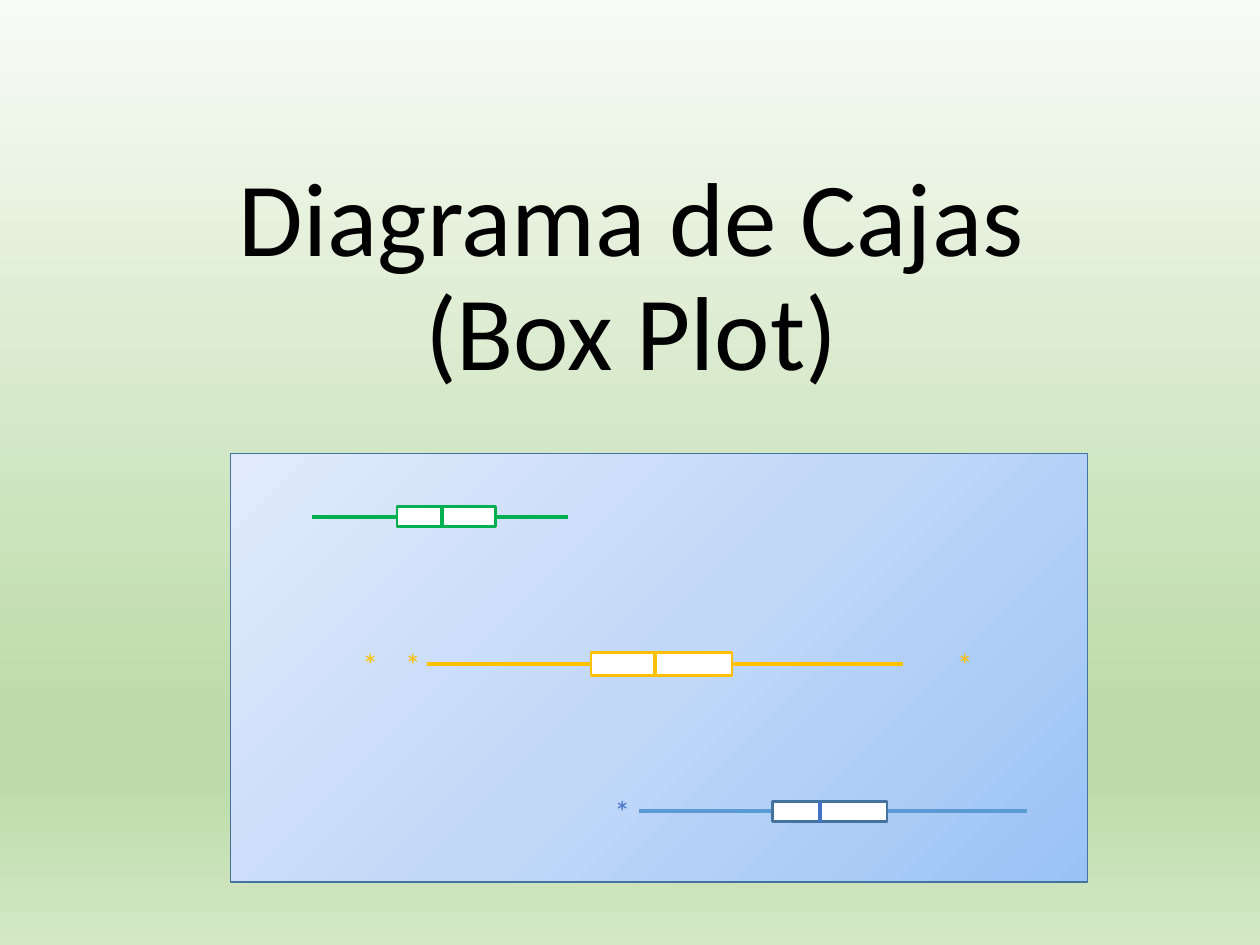
"""Build a title slide with three horizontal box plots on a gradient panel."""
from dataclasses import dataclass

from lxml import etree
from pptx import Presentation
from pptx.dml.color import RGBColor
from pptx.enum import shapes, text
from pptx.oxml import ns
from pptx.util import Pt

FONT = "Calibri"
BLACK = RGBColor(0x00, 0x00, 0x00)
WHITE = RGBColor(0xFF, 0xFF, 0xFF)
NAVY = RGBColor(0x43, 0x73, 0x9E)
SKY = RGBColor(0x5B, 0x9B, 0xD5)
BLUE = RGBColor(0x44, 0x72, 0xC4)
GOLD = RGBColor(0xFF, 0xC0, 0x00)
GREEN = RGBColor(0x00, 0xB0, 0x50)
PANEL_STOPS = [
    (0, RGBColor(0xE1, 0xEB, 0xFB)),
    (50, RGBColor(0xC2, 0xD8, 0xF8)),
    (100, RGBColor(0x9A, 0xC3, 0xF5)),
]
PAGE_STOPS = [
    (0, RGBColor(0xF8, 0xFB, 0xF6)),
    (74, RGBColor(0xBE, 0xDC, 0xAA)),
    (83, RGBColor(0xBE, 0xDC, 0xAA)),
    (100, RGBColor(0xD4, 0xE8, 0xC6)),
]


@dataclass(frozen=True)
class BoxPlot:
    y: float
    low: float
    q1: float
    median: float
    q3: float
    high: float
    height: float
    whisker_color: RGBColor
    box_color: RGBColor
    median_color: RGBColor
    outliers: tuple[float, ...] = ()


PLOTS = [
    BoxPlot(463.7, 365, 441.4, 468.7, 506.9, 586.8, 11.5, SKY, NAVY, BLUE, (344.2,)),
    BoxPlot(379.4, 244.1, 337.7, 374.4, 418.3, 516.2, 13, GOLD, GOLD, GOLD,
            (200.2, 224.6, 540)),
    BoxPlot(295.2, 178.5, 226.8, 252.7, 283, 324.7, 11.5, GREEN, GREEN, GREEN),
]


def set_gradient(fill, owner, stops: list, angle: int) -> None:
    fill.gradient()
    grad = next(owner.iter(ns.qn("a:gradFill")))
    for child in list(grad):
        grad.remove(child)
    gs_list = etree.SubElement(grad, ns.qn("a:gsLst"))
    for pos, color in stops:
        gs = etree.SubElement(gs_list, ns.qn("a:gs"), pos=str(pos * 1000))
        etree.SubElement(gs, ns.qn("a:srgbClr"), val=str(color))
    etree.SubElement(grad, ns.qn("a:lin"), ang=str(angle * 60000), scaled="0")


def add_rect(g, x: float, y: float, w: float, h: float, color: RGBColor, weight: float):
    sp = g.shapes.add_shape(shapes.MSO_SHAPE.RECTANGLE, Pt(x), Pt(y), Pt(w), Pt(h))
    sp.shadow.inherit = False
    sp.line.color.rgb = color
    sp.line.width = Pt(weight)
    return sp


def add_line(g, x1: float, y1: float, x2: float, y2: float, color: RGBColor) -> None:
    line = g.shapes.add_connector(
        shapes.MSO_CONNECTOR.STRAIGHT, Pt(x1), Pt(y1), Pt(x2), Pt(y2))
    line.line.color.rgb = color
    line.line.width = Pt(2.25)
    etree.SubElement(line._element.spPr, ns.qn("a:effectLst"))


def add_run(p, words: str, size: float, color: RGBColor) -> None:
    r = p.add_run()
    r.text = words
    r.font.name = FONT
    r.font.size = Pt(size)
    r.font.color.rgb = color


def add_outlier(g, x: float, y: float, color: RGBColor) -> None:
    sp = g.shapes.add_textbox(Pt(x), Pt(y - 12.2), Pt(15.8), Pt(17.3))
    sp.rotation = 180
    tf = sp.text_frame
    tf.margin_left = tf.margin_right = tf.margin_top = tf.margin_bottom = 0
    tf.word_wrap = False
    tf.auto_size = text.MSO_AUTO_SIZE.SHAPE_TO_FIT_TEXT
    add_run(tf.paragraphs[0], "*", 18, color)


def add_box_plot(g, plot: BoxPlot) -> None:
    top = plot.y - plot.height / 2
    add_line(g, plot.low, plot.y, plot.high, plot.y, plot.whisker_color)
    box = add_rect(g, plot.q1, top, plot.q3 - plot.q1, plot.height, plot.box_color, 1.5)
    box.fill.solid()
    box.fill.fore_color.rgb = WHITE
    add_line(g, plot.median, top, plot.median, top + plot.height, plot.median_color)
    for x in plot.outliers:
        add_outlier(g, x, plot.y, plot.median_color)


def add_title(s, lines: list[str]) -> None:
    sp = s.shapes.title
    sp.left, sp.top, sp.width, sp.height = Pt(54.7), Pt(40.3), Pt(612), Pt(187.9)
    tf = sp.text_frame
    tf.word_wrap = True
    tf.auto_size = text.MSO_AUTO_SIZE.NONE
    tf.vertical_anchor = text.MSO_ANCHOR.BOTTOM
    p = tf.paragraphs[0]
    p.alignment = text.PP_ALIGN.CENTER
    p.line_spacing = 0.9
    for i, words in enumerate(lines):
        if i:
            p.add_line_break()
        add_run(p, words, 60, BLACK)


def main() -> None:
    prs = Presentation()
    prs.slide_width, prs.slide_height = Pt(720), Pt(540)
    s = prs.slides.add_slide(prs.slide_layouts[5])
    set_gradient(s.background.fill, s._element, PAGE_STOPS, 90)
    add_title(s, ["Diagrama de Cajas", "(Box Plot)"])
    g = s.shapes.add_group_shape()
    panel = add_rect(g, 131.8, 259.2, 489.6, 244.8, NAVY, 1)
    set_gradient(panel.fill, panel._element, PANEL_STOPS, 45)
    for plot in PLOTS:
        add_box_plot(g, plot)
    prs.save("out.pptx")


if __name__ == "__main__":
    main()
